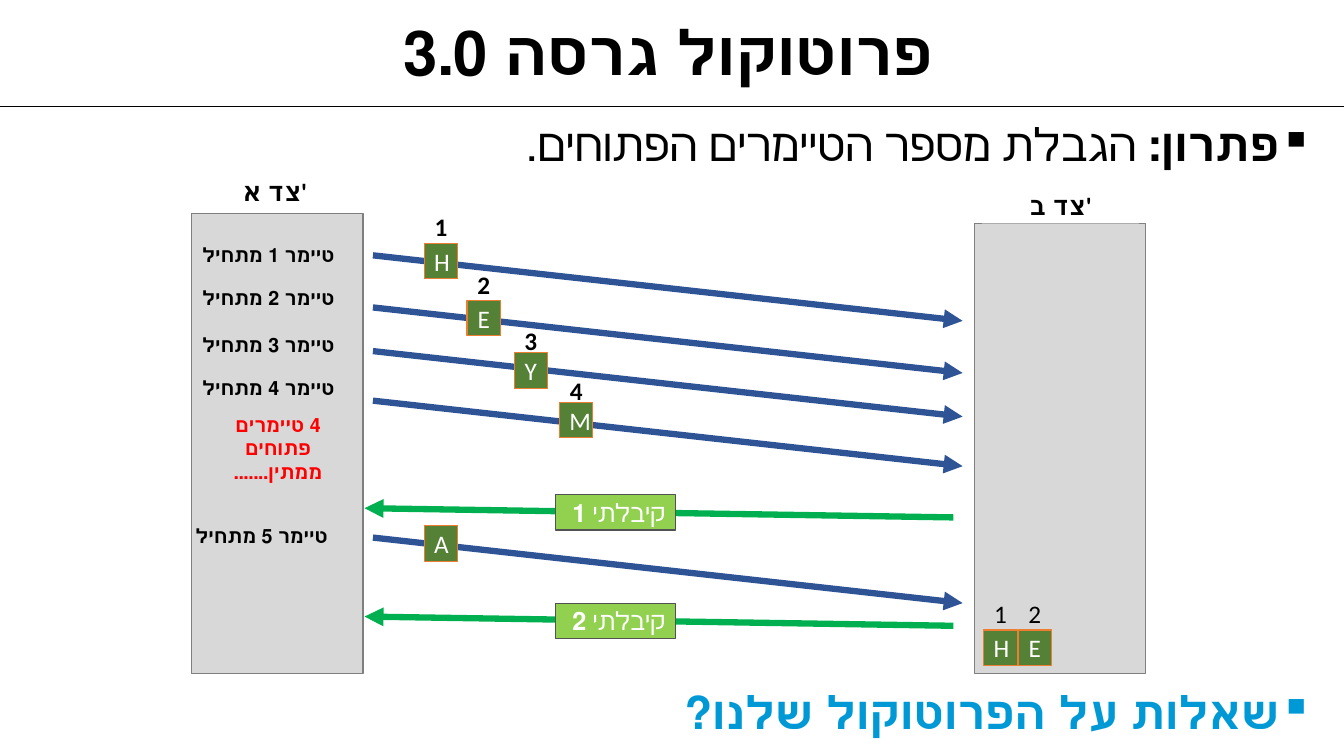
from dataclasses import dataclass

from lxml import etree
from pptx import Presentation
from pptx import util as u
from pptx.dml.color import RGBColor
from pptx.enum import shapes, text
from pptx.oxml.ns import qn

COLUMNS, ROWS = 160, 90
SLIDE_WIDTH, SLIDE_HEIGHT = u.Inches(13.33), u.Inches(7.5)
CENTER, RIGHT = text.PP_ALIGN.CENTER, text.PP_ALIGN.RIGHT


@dataclass(frozen=True)
class Theme:
    """Colours, fonts and type sizes of the slide."""
    ink: str = "000000"
    paper: str = "FFFFFF"
    question: str = "0099D5"
    warning: str = "FF0000"
    panel: str = "D8D8D8"
    panel_edge: str = "7F7F7F"
    send: str = "2F5496"
    reply: str = "00B050"
    reply_label: str = "92D050"
    reply_edge: str = "525252"
    packet: str = "548135"
    packet_edge: str = "ED7D31"
    heading_font: str = "Lato"
    diagram_font: str = "Calibri"
    title_size: float = 44
    bullet_size: float = 32.4
    label_size: float = 18
    timer_size: float = 14
    arrow_width: float = 4.5


THEME = Theme()


@dataclass(frozen=True)
class Box:
    """A rectangle in columns and rows of the slide grid."""
    x: float
    y: float
    w: float
    h: float

    def inner(self, dx, dy, w, h):
        """Return a box placed relative to this one."""
        return Box(self.x + dx, self.y + dy, w, h)

    def lengths(self):
        """Return left, top, width and height in slide units."""
        return col(self.x), row(self.y), col(self.w), row(self.h)


def col(count):
    """Convert columns to slide units."""
    return round(SLIDE_WIDTH * count / COLUMNS)


def row(count):
    """Convert rows to slide units."""
    return round(SLIDE_HEIGHT * count / ROWS)


def write(holder, runs, size, color=THEME.ink, font=THEME.diagram_font,
          align=CENTER, rtl=False, bullet=None, spacing=None,
          anchor=text.MSO_ANCHOR.MIDDLE):
    """Write (words, bold) runs as one paragraph; None breaks the line."""
    frame = holder.text_frame
    frame.word_wrap = True
    frame.vertical_anchor = anchor
    paragraph = frame.paragraphs[0]
    paragraph.alignment = align
    paragraph.line_spacing = spacing
    properties = paragraph._p.get_or_add_pPr()
    if rtl:
        properties.set("rtl", "1")
    if bullet:
        indent = u.Inches(0.32)
        properties.set("marL", str(indent))
        properties.set("indent", str(-indent))
        bullet_color = etree.SubElement(properties, qn("a:buClr"))
        etree.SubElement(bullet_color, qn("a:srgbClr"), val=color)
        etree.SubElement(properties, qn("a:buChar"), char=bullet)
    for part in runs:
        if part is None:
            paragraph.add_line_break()
            continue
        run = paragraph.add_run()
        run.text, run.font.bold = part
        run.font.size = u.Pt(size)
        run.font.name = font
        run.font.color.rgb = RGBColor.from_string(color)


def label(slide, box, runs, size, **style):
    """Place text without a background."""
    write(slide.shapes.add_textbox(*box.lengths()), runs, size, **style)


def block(slide, box, fill, edge=None, weight=0.75):
    """Place a filled rectangle and return it."""
    rectangle = slide.shapes.add_shape(shapes.MSO_SHAPE.RECTANGLE, *box.lengths())
    rectangle.shadow.inherit = False
    rectangle.fill.solid()
    rectangle.fill.fore_color.rgb = RGBColor.from_string(fill)
    if edge:
        rectangle.line.color.rgb = RGBColor.from_string(edge)
        rectangle.line.width = u.Pt(weight)
    else:
        rectangle.line.fill.background()
    return rectangle


def stroke(slide, start, end, color, weight, arrow=False):
    """Draw a straight line between two grid points."""
    line = slide.shapes.add_connector(
        shapes.MSO_CONNECTOR.STRAIGHT,
        col(start[0]), row(start[1]), col(end[0]), row(end[1]))
    line.line.color.rgb = RGBColor.from_string(color)
    line.line.width = u.Pt(weight)
    if arrow:
        etree.SubElement(line.line._get_or_add_ln(), qn("a:tailEnd"), type="triangle")
    etree.SubElement(line._element.spPr, qn("a:effectLst"))


def packet(slide, box, letter, number=None, lift=4.1, bold=True):
    """Place a letter packet with its sequence number above it."""
    if number:
        label(slide, box.inner(0, -lift, box.w, box.h), [(number, bold)],
              THEME.label_size)
    write(block(slide, box, THEME.packet, THEME.packet_edge),
          [(letter, False)], THEME.label_size, color=THEME.paper)


def header(slide, box):
    """Place the title and the rule below it."""
    label(slide, box.inner(0, 0.5, box.w - 0.8, 12.2), [("פרוטוקול גרסה 3.0", True)],
          THEME.title_size, font=THEME.heading_font, rtl=True, spacing=0.9)
    bottom = box.y + box.h
    stroke(slide, (box.x, bottom), (box.x + box.w, bottom), THEME.ink, 1)


def statement(slide, box, runs, color=THEME.ink):
    """Place one bulleted right-to-left line."""
    label(slide, box, runs, THEME.bullet_size, color=color,
          font=THEME.heading_font, align=RIGHT, rtl=True, bullet="▪",
          spacing=0.9, anchor=text.MSO_ANCHOR.TOP)


def side(slide, box, name, dx, dy):
    """Place the panel of one side and its heading."""
    block(slide, box, THEME.panel, THEME.panel_edge, 1)
    heading = block(slide, box.inner(dx, dy, 18.7, 4.4), THEME.paper)
    write(heading, [(name, True)], THEME.label_size)


def timers(slide, box):
    """Place the timer notes inside the sender's panel."""
    starts = [(-0.2, 2.7), (-0.2, 7.8), (-0.2, 13.4), (-0.2, 18.5), (-1, 36.2)]
    for number, (dx, dy) in enumerate(starts, 1):
        label(slide, box.inner(dx, dy, 18.7, 4.4),
              [(f"טיימר {number} מתחיל", True)], THEME.timer_size, rtl=True)
    label(slide, box.inner(-0.1, 25.7, 20.8, 4.4),
          [("4 טיימרים", True), None, ("פתוחים", True), None, ("ממתין.......", True)],
          THEME.timer_size, color=THEME.warning, rtl=True)


def exchange(slide, box):
    """Draw the packets sent and the replies between both sides."""
    right = box.x + box.w
    for dy in (5, 11.2, 16.4, 22.3, 38.6):
        top = box.y + dy
        stroke(slide, (box.x + 1, top), (right, top + 7.8),
               THEME.send, THEME.arrow_width, arrow=True)
    for number, dy in (("1", 35.1), ("2", 48)):
        tip = box.y + dy
        stroke(slide, (right - 1.1, tip + 1.1), (box.x, tip),
               THEME.reply, THEME.arrow_width, arrow=True)
        reply = block(slide, box.inner(22.7, dy - 1.6, 14.3, 4.2),
                      THEME.reply_label, THEME.reply_edge)
        write(reply, [("קיבלתי ", False), (number, True)], THEME.label_size,
              color=THEME.paper, align=RIGHT, rtl=True)
    sent = [("H", "1", 7.1, 3.6, 4.1), ("E", "2", 12.2, 10.4, 4),
            ("Y", "3", 17.8, 16.6, 3.6), ("M", "4", 23.2, 22.5, 3.5),
            ("A", None, 7.1, 37.2, 0)]
    for letter, number, dx, dy, lift in sent:
        packet(slide, box.inner(dx, dy, 4, 4.2), letter, number, lift)


def received(slide, box):
    """Place the packets that reached the receiver."""
    for index, letter in enumerate("HE"):
        packet(slide, box.inner(1.1 + 4.1 * index, 48.4, 4, 4.2),
               letter, str(index + 1), bold=False)


def main():
    """Build the slide and save it."""
    deck = Presentation()
    deck.slide_width, deck.slide_height = SLIDE_WIDTH, SLIDE_HEIGHT
    slide = deck.slides.add_slide(deck.slide_layouts[6])
    sender = Box(22.8, 25.4, 20.4, 54.8)
    receiver = Box(116, 26.6, 20.4, 53.6)
    header(slide, Box(0, 0, COLUMNS, 12.7))
    statement(slide, Box(3.1, 14, 154.4, 7),
              [("פתרון: ", True), ("הגבלת מספר הטיימרים הפתוחים.", False)])
    side(slide, receiver, "צד ב'", 0.9, -4.4)
    side(slide, sender, "צד א'", 0.6, -4.8)
    timers(slide, sender)
    exchange(slide, Box(43.4, 25.4, 71.2, 54.8))
    received(slide, receiver)
    statement(slide, Box(3.1, 81.6, 154.4, 7),
              [("שאלות על הפרוטוקול שלנו?", True)], THEME.question)
    deck.save("out.pptx")


if __name__ == "__main__":
    main()
